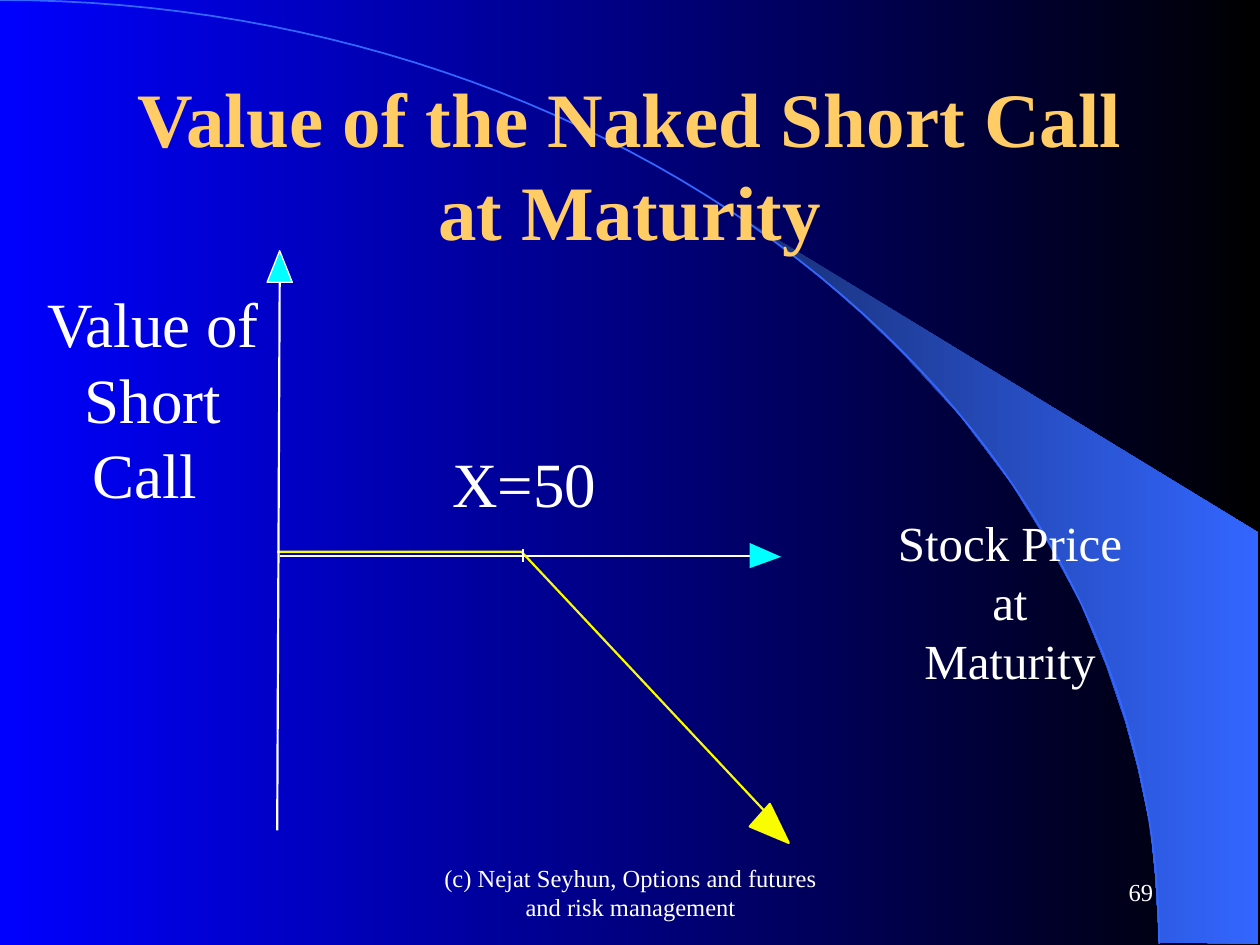
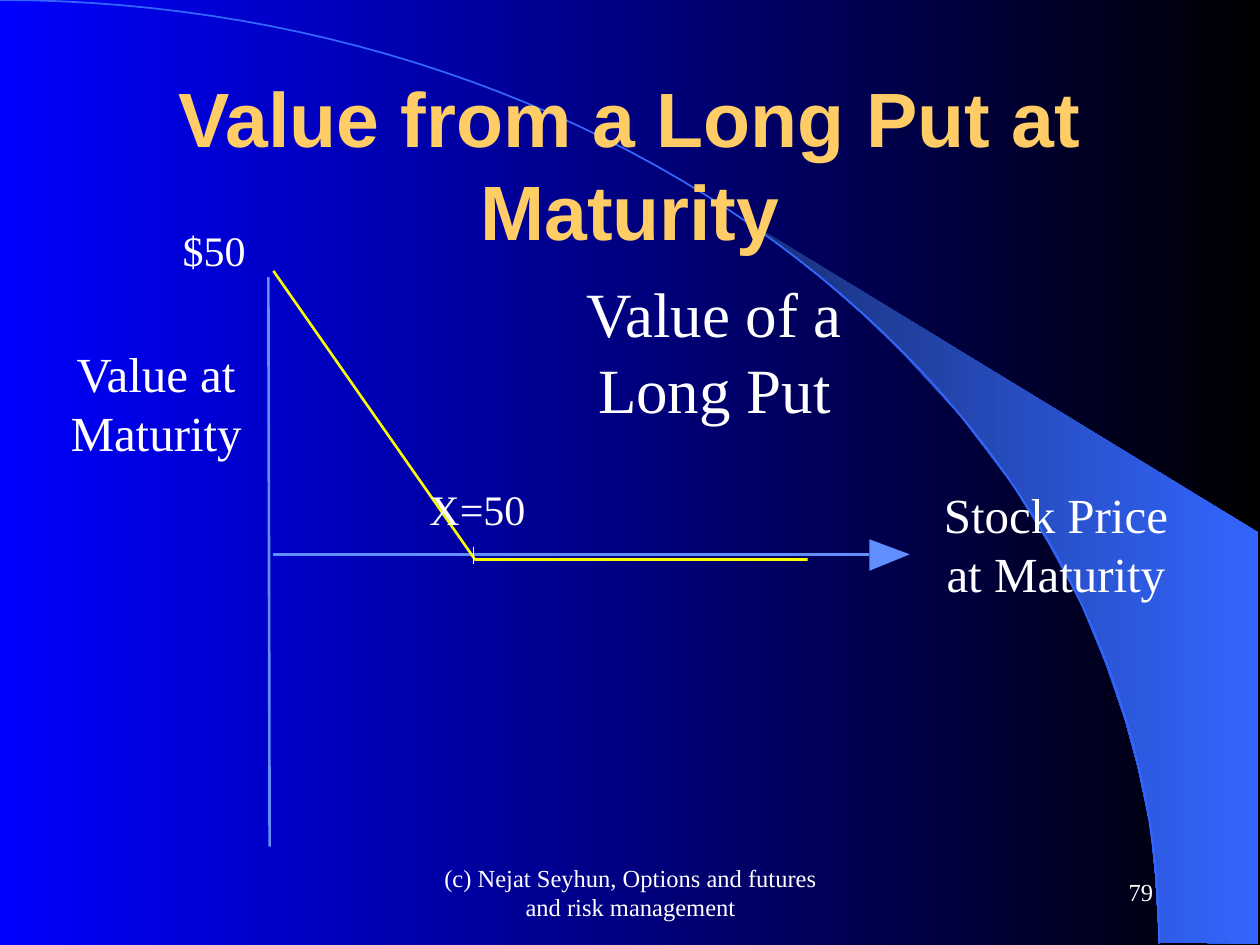
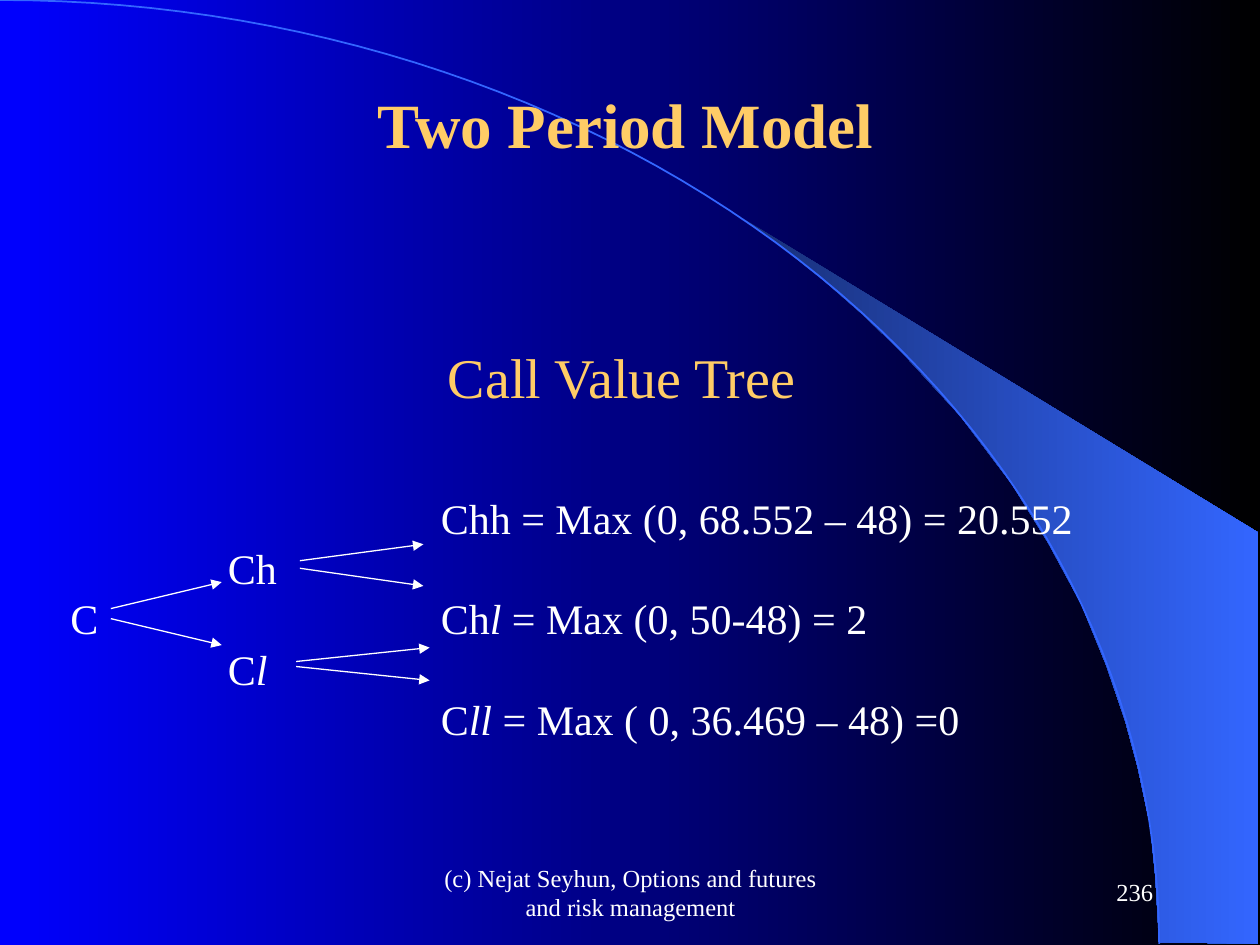
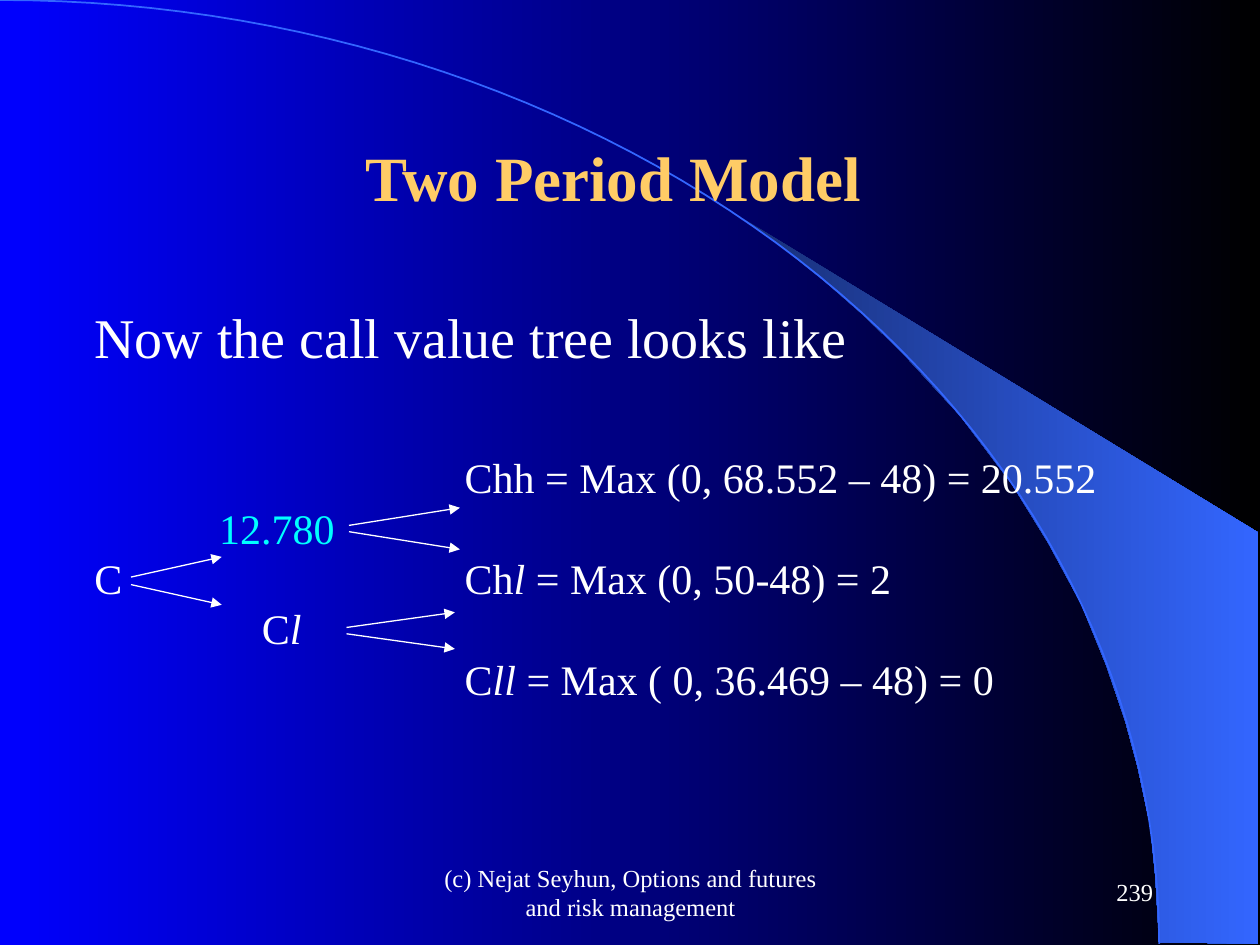
from math import cos, pi, sin

from lxml.etree import SubElement
from pptx import Presentation
from pptx.dml.color import RGBColor
from pptx.enum.shapes import MSO_CONNECTOR
from pptx.enum.text import MSO_ANCHOR, PP_ALIGN
from pptx.oxml.ns import qn
from pptx.util import Inches, Pt

COLORS = {
    "text": "FFFFFF",
    "title": "FFCC66",
    "payoff": "FAFD00",
    "cyan": "00FFFF",
    "axis": "618FFD",
    "back_left": "0000FF",
    "back_right": "000000",
    "band_left": "182F76",
    "band_right": "3366FF",
}
SERIF = "Times New Roman"
FOOTER = "(c) Nejat Seyhun, Options and futures and risk management"
BAND = [
    (9.2, 7.48), (9.99, 7.49), (9.99, 4.23), (5.89, 1.73), (6.24, 1.99),
    (6.53, 2.22), (6.85, 2.5), (7.16, 2.8), (7.62, 3.3), (8.03, 3.84),
    (8.32, 4.31), (8.58, 4.79), (8.78, 5.28), (8.93, 5.72), (9.03, 6.09),
    (9.13, 6.56), (9.17, 6.96), (9.2, 7.48),
]


def rgb(name):
    return RGBColor.from_string(COLORS[name])


def fill_gradient(fill, *names):
    fill.gradient()
    fill.gradient_angle = 0
    for stop, name in zip(fill.gradient_stops, names):
        stop.color.rgb = rgb(name)


def set_line(line, color, width):
    line.color.rgb = rgb(color)
    line.width = Pt(width)


def add_outline(s, points, fill=None, line=None, width=1.0, close=False):
    """Draw straight segments through points given in inches."""
    corners = [(Inches(x), Inches(y)) for x, y in points]
    builder = s.shapes.build_freeform(*corners[0])
    builder.add_line_segments(corners[1:], close=close)
    sp = builder.convert_to_shape()
    sp.shadow.inherit = False
    if fill:
        sp.fill.solid()
        sp.fill.fore_color.rgb = rgb(fill)
    else:
        sp.fill.background()
    if line:
        set_line(sp.line, line, width)
    else:
        sp.line.fill.background()
    return sp


def add_line(s, start, end, color="text", width=0.75, arrow=False):
    ends = [Inches(v) for v in (*start, *end)]
    line = s.shapes.add_connector(MSO_CONNECTOR.STRAIGHT, *ends)
    set_line(line.line, color, width)
    if arrow:
        SubElement(line.line._get_or_add_ln(), qn("a:tailEnd"), type="triangle")
    SubElement(line.element.spPr, qn("a:effectLst"))


def add_box(s, box, wrap=True, anchor=MSO_ANCHOR.TOP):
    tf = s.shapes.add_textbox(*map(Inches, box)).text_frame
    tf.word_wrap = wrap
    tf.vertical_anchor = anchor
    return tf


def add_run(p, text, size, color="text", font=SERIF, bold=False, italic=False):
    r = p.add_run()
    r.text = text
    r.font.name = font
    r.font.size = Pt(size)
    r.font.bold = bold
    r.font.italic = italic
    r.font.color.rgb = rgb(color)


def add_label(s, box, lines, size, align=PP_ALIGN.CENTER, wrap=False,
              anchor=MSO_ANCHOR.TOP, **style):
    tf = add_box(s, box, wrap, anchor)
    for i, text in enumerate(lines):
        p = tf.add_paragraph() if i else tf.paragraphs[0]
        p.alignment = align
        add_run(p, text, size, **style)


def add_title(s, text, font=SERIF):
    add_label(s, (0.75, 0.67, 8.5, 1.25), [text], 44, wrap=True,
              anchor=MSO_ANCHOR.MIDDLE, color="title", font=font, bold=True)


def add_model_title(s, left, top):
    add_label(s, (left, top, 4.17, 0.7), ["Two Period Model"], 36,
              align=PP_ALIGN.LEFT, color="title", bold=True)


def add_tree_text(s, box, heading, heading_color, align, rows):
    """Rows hold text, tab stops and colour; text between underscores is italic."""
    tf = add_box(s, box)
    p = tf.paragraphs[0]
    p.alignment = align
    add_run(p, heading, 32, heading_color)
    for i, (text, stops, color) in enumerate(rows):
        p = tf.add_paragraph()
        p.space_before = Pt(0 if i else 47)
        tabs = SubElement(p._p.get_or_add_pPr(), qn("a:tabLst"))
        for stop in stops:
            SubElement(tabs, qn("a:tab"), pos=str(Inches(stop)), algn="l")
        for j, part in enumerate(text.split("_")):
            if part:
                add_run(p, part, 24, color, italic=j % 2 == 1)


def add_forks(s, forks):
    """Each fork is left, right, the two start heights and the two end heights."""
    for left, right, starts, ends in forks:
        for y1, y2 in zip(starts, ends):
            add_line(s, (left, y1), (right, y2), arrow=True)


def add_backdrop(layout, s):
    """Draw the band and the arc on s and move them to the layout."""
    fill_gradient(layout.background.fill, "back_left", "back_right")
    band = add_outline(s, BAND, close=True)
    fill_gradient(band.fill, "band_left", "band_right")
    steps = 60
    angles = [pi / 2 * i / steps for i in range(steps + 1)]
    arc = add_outline(s, [(9.2 * sin(a), 7.49 * (1 - cos(a))) for a in angles],
                      line="band_right")
    for sp in (band, arc):
        layout.shapes.element.append(sp.element)


def add_slide(prs, number):
    s = prs.slides.add_slide(prs.slide_layouts[6])
    add_label(s, (3.42, 6.83, 3.17, 0.5), [FOOTER], 14, wrap=True,
              anchor=MSO_ANCHOR.MIDDLE)
    add_label(s, (7.17, 6.83, 2.08, 0.5), [str(number)], 14, PP_ALIGN.RIGHT,
              wrap=True, anchor=MSO_ANCHOR.MIDDLE)
    return s


def build_short_call(s):
    add_title(s, "Value of the Naked Short Call at Maturity")
    add_outline(s, [(2.12, 2.24), (2.22, 1.99), (2.32, 2.24)], "cyan",
                "text", 0.75, close=True)
    add_line(s, (2.22, 4.41), (5.98, 4.41), width=1.25)
    add_outline(s, [(5.95, 4.31), (6.2, 4.42), (5.95, 4.51)], "cyan", close=True)
    add_outline(s, [(2.2, 4.38), (4.14, 4.38), (6.08, 6.45)],
                line="payoff", width=1.25)
    add_line(s, (4.15, 4.36), (4.15, 4.46))
    add_line(s, (2.2, 6.59), (2.22, 2.24), width=1.25)
    add_label(s, (0.25, 2.21, 1.93, 1.9), ["Value of", "Short", "Call "], 36)
    add_label(s, (6.84, 4.02, 2.35, 1.04), ["Stock Price at", "Maturity"], 28)
    add_label(s, (3.49, 3.48, 1.34, 0.7), ["X=50"], 36)
    add_outline(s, [(5.95, 6.56), (6.26, 6.69), (6.11, 6.38)], "payoff",
                "payoff", 1.25, close=True)


def build_long_put(s):
    add_title(s, "Value from a Long Put at Maturity", font="Arial")
    add_line(s, (2.17, 4.4), (6.9, 4.4), "axis", 1.5)
    add_outline(s, [(6.9, 4.28), (7.22, 4.4), (6.9, 4.53)], "axis", close=True)
    add_outline(s, [(2.17, 2.15), (3.77, 4.44), (6.41, 4.44)],
                line="payoff", width=1.5)
    add_line(s, (3.76, 4.34), (3.76, 4.48))
    add_line(s, (2.14, 6.72), (2.13, 2.2), "axis", 1.5)
    add_label(s, (3.31, 3.79, 0.96, 0.5), ["X=50"], 24)
    add_label(s, (7.27, 3.8, 2.22, 1.04), ["Stock Price at Maturity"], 28, wrap=True)
    add_label(s, (4.18, 2.13, 2.98, 1.3), ["Value of a Long Put"], 36, wrap=True)
    add_label(s, (0.46, 2.68, 1.56, 1.04), ["Value at", "Maturity"], 28)
    add_label(s, (1.35, 1.73, 0.7, 0.5), ["$50"], 24)


def tree_rows(high, high_color, high_tab, low_tab, zero):
    stops = (high_tab, 2.94)
    return [
        ("\t\tChh = Max (0, 68.552 – 48) = 20.552", stops, "text"),
        ("\t" + high, stops, high_color),
        ("C\t\tCh_l_ = Max (0, 50-48) = 2", stops, "text"),
        ("\tC_l_", (low_tab, 2.94), "text"),
        ("\t\tC_ll_ = Max ( 0, 36.469 – 48) " + zero, stops, "text"),
    ]


def build_call_tree(s):
    add_tree_text(s, (0.46, 2.67, 8.95, 3.69), "Call Value Tree", "title",
                  PP_ALIGN.CENTER, tree_rows("Ch", "text", 1.25, 1.25, "=0"))
    add_forks(s, [
        (0.88, 1.76, (4.83, 4.91), (4.62, 5.12)),
        (2.35, 3.41, (5.25, 5.29), (5.14, 5.4)),
        (2.38, 3.36, (4.45, 4.51), (4.32, 4.65)),
    ])
    add_model_title(s, 2.9, 0.63)


def build_updated_tree(s):
    add_tree_text(s, (0.65, 2.35, 8.2, 3.69), "Now the call value tree looks like",
                  "text", PP_ALIGN.LEFT,
                  tree_rows("12.780", "cyan", 0.99, 1.33, "= 0"))
    add_forks(s, [
        (1.04, 1.76, (4.58, 4.64), (4.42, 4.8)),
        (2.77, 3.65, (4.17, 4.22), (4.03, 4.36)),
        (2.75, 3.61, (4.98, 5.03), (4.86, 5.15)),
    ])
    add_model_title(s, 2.8, 1.05)


def main():
    prs = Presentation()
    prs.slide_width, prs.slide_height = Inches(10), Inches(7.5)
    pages = [(69, build_short_call), (79, build_long_put),
             (236, build_call_tree), (239, build_updated_tree)]
    for number, build in pages:
        build(add_slide(prs, number))
    add_backdrop(prs.slide_layouts[6], prs.slides[0])
    prs.save("out.pptx")


if __name__ == "__main__":
    main()
